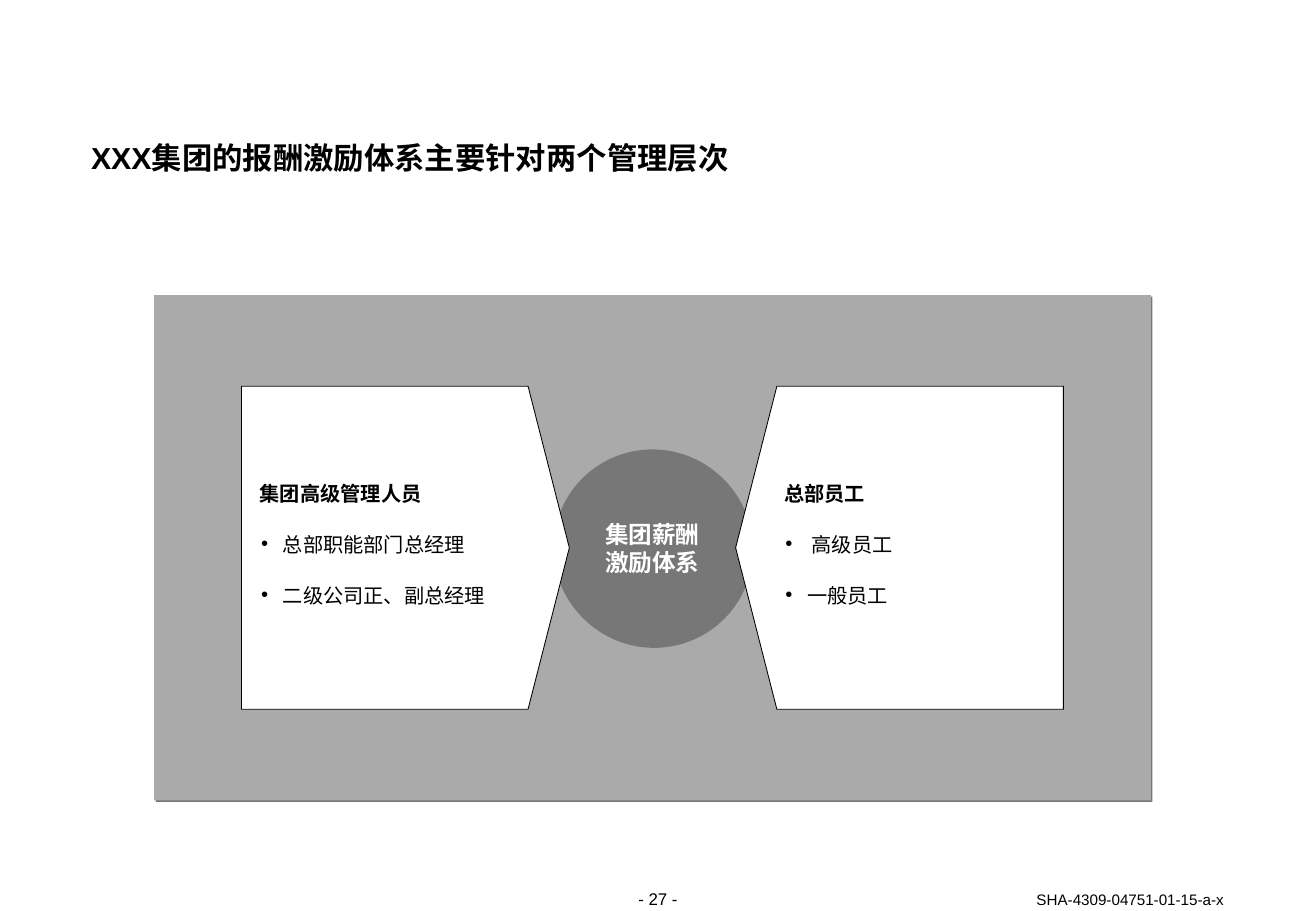
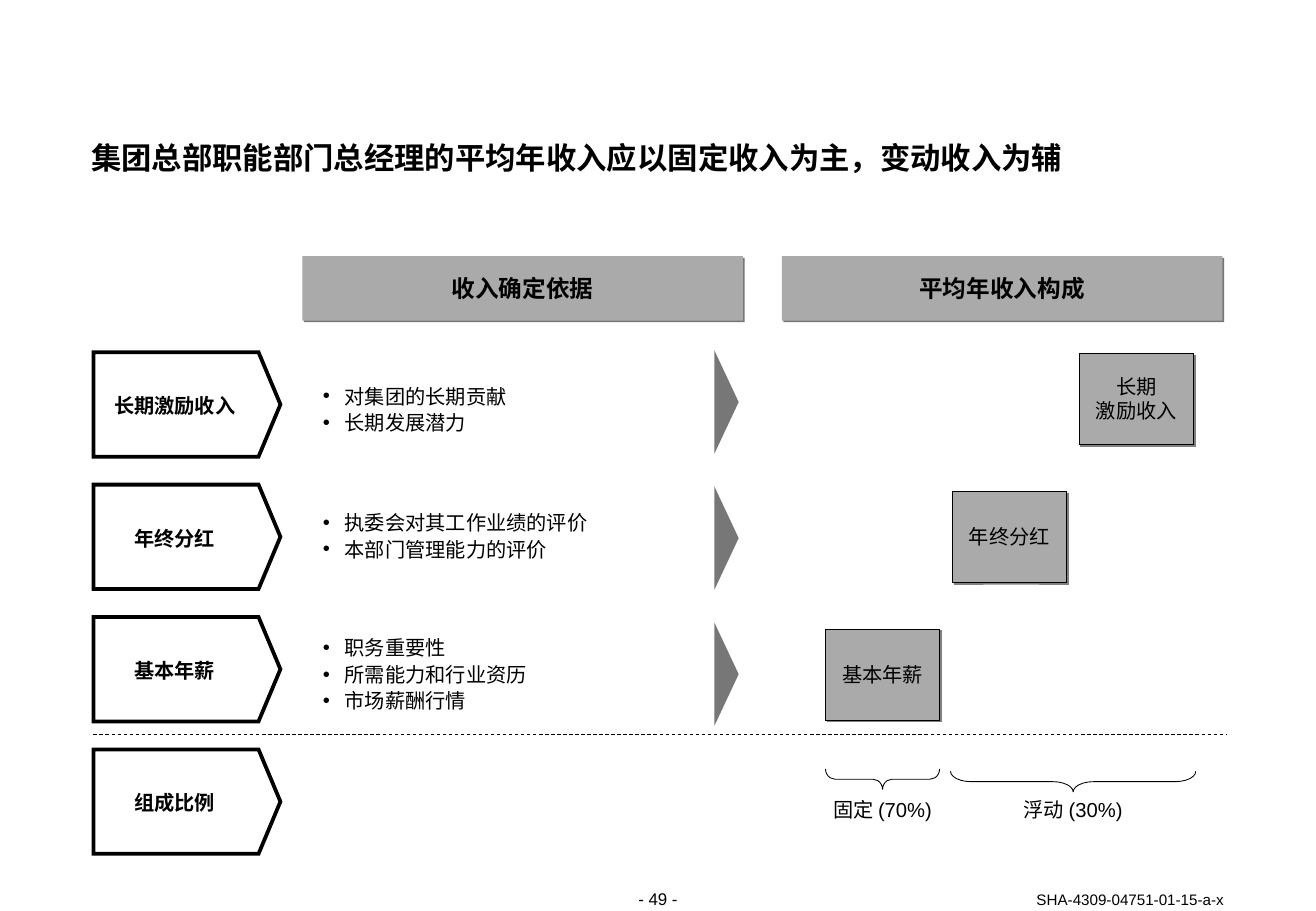
from dataclasses import dataclass

from lxml import etree
from pptx import Presentation
from pptx import util as u
from pptx.dml.color import RGBColor
from pptx.enum import dml, lang, shapes, text
from pptx.oxml import ns


@dataclass(frozen=True)
class Theme:
    font: str = "Arial"
    ink: str = "000000"
    paper: str = "FFFFFF"
    panel: str = "AAAAAA"
    accent: str = "777777"
    box_shadow: str = "808080"
    title: int = 18
    heading: int = 14
    body: int = 12
    page: int = 10
    code: int = 9
    thin: float = 0.5
    thick: float = 2.25


@dataclass(frozen=True)
class Box:
    left: float
    top: float
    width: float
    height: float

    def inches(self):
        return [u.Inches(v) for v in (self.left, self.top, self.width, self.height)]

    def inner(self, left, top, width, height):
        return Box(self.left + left, self.top + top, width, height)


THEME = Theme()
LEFT, CENTER, RIGHT = text.PP_ALIGN.LEFT, text.PP_ALIGN.CENTER, text.PP_ALIGN.RIGHT
TOP, MIDDLE, BOTTOM = text.MSO_ANCHOR.TOP, text.MSO_ANCHOR.MIDDLE, text.MSO_ANCHOR.BOTTOM


def add_element(parent, tag, **attributes):
    return etree.SubElement(parent, ns.qn(tag), **attributes)


def paint(shape, fill=None, line=None, shadow=None):
    shape.shadow.inherit = False
    if fill:
        shape.fill.solid()
        shape.fill.fore_color.rgb = RGBColor.from_string(fill)
    else:
        shape.fill.background()
    if line:
        shape.line.color.rgb = RGBColor.from_string(THEME.ink)
        shape.line.width = u.Pt(line)
        add_element(shape._element.spPr.find(ns.qn("a:ln")), "a:miter", lim="800000")
    else:
        shape.line.fill.background()
    if shadow:
        effects = shape._element.spPr.find(ns.qn("a:effectLst"))
        outer = add_element(effects, "a:outerShdw", dist=str(u.Pt(1.4)), dir="2700000", algn="ctr", rotWithShape="0")
        add_element(outer, "a:srgbClr", val=shadow)
    return shape


def add_bullet(paragraph):
    properties = paragraph._p.get_or_add_pPr()
    properties.set("marL", str(u.Inches(0.19)))
    properties.set("indent", str(u.Inches(-0.18)))
    color = add_element(properties, "a:buClr")
    add_element(color, "a:srgbClr", val=THEME.ink)
    add_element(properties, "a:buFont", typeface=THEME.font)
    add_element(properties, "a:buChar", char="•")


def write(shape, lines, size, color=THEME.ink, bold=False, align=CENTER, anchor=MIDDLE,
          margins=(0, 0, 0, 0), spacing=None, bullets=False, heading=None):
    frame = shape.text_frame
    frame.word_wrap = True
    frame.vertical_anchor = anchor
    frame.margin_left, frame.margin_top, frame.margin_right, frame.margin_bottom = map(u.Inches, margins)
    entries = [(heading, True, False)] if heading else []
    entries += [(line, bold, bullets) for line in lines]
    for index, (line, strong, bulleted) in enumerate(entries):
        paragraph = frame.add_paragraph() if index else frame.paragraphs[0]
        paragraph.alignment = align
        if spacing:
            paragraph.line_spacing = spacing
        if bulleted:
            add_bullet(paragraph)
        for position, piece in enumerate(line.split("\n")):
            if position:
                paragraph.add_line_break()
            run = paragraph.add_run()
            run.text = piece
            run.font.name = THEME.font
            run.font.size = u.Pt(size)
            run.font.bold = strong
            run.font.color.rgb = RGBColor.from_string(color)
            run.font.language_id = lang.MSO_LANGUAGE_ID.SIMPLIFIED_CHINESE


def add_text(slide, box, lines, size, **style):
    write(slide.shapes.add_textbox(*box.inches()), lines, size, **style)


def add_preset(slide, kind, box, **look):
    return paint(slide.shapes.add_shape(kind, *box.inches()), **look)


def add_pointer(slide, box, tip, points_left=False, **look):
    outline = [(0, 0), (box.width - tip, 0), (box.width, box.height / 2),
               (box.width - tip, box.height), (0, box.height)]
    if points_left:
        outline = [(box.width - x, y) for x, y in outline]
    corners = [(u.Inches(box.left + x), u.Inches(box.top + y)) for x, y in outline]
    builder = slide.shapes.build_freeform(*corners[0])
    builder.add_line_segments(corners[1:], close=True)
    return paint(builder.convert_to_shape(), **look)


def add_brace(slide, box):
    upright = Box(box.left + (box.width - box.height) / 2, box.top - (box.width - box.height) / 2,
                  box.height, box.width)
    brace = add_preset(slide, shapes.MSO_SHAPE.LEFT_BRACE, upright, line=THEME.thin)
    brace.adjustments[0] = box.width / box.height / 12
    brace.rotation = 270


def new_slide(presentation, title, page):
    slide = presentation.slides.add_slide(presentation.slide_layouts[6])
    add_text(slide, Box(0.75, 1.17, 9.33, 0.28), [title], THEME.title, bold=True,
             align=LEFT, anchor=TOP, spacing=u.Pt(20))
    add_text(slide, Box(4.85, 7.32, 1.14, 0.17), [f"- {page} -"], THEME.page, anchor=TOP)
    add_text(slide, Box(7.64, 7.33, 2.44, 0.15), ["SHA-4309-04751-01-15-a-x"], THEME.code,
             align=RIGHT, anchor=BOTTOM, spacing=u.Pt(11))
    return slide


def draw_levels(slide, box):
    add_preset(slide, shapes.MSO_SHAPE.RECTANGLE, box, fill=THEME.panel, shadow=THEME.accent)
    hub = add_preset(slide, shapes.MSO_SHAPE.OVAL, box.inner(3.29, 1.27, 1.63, 1.62),
                     fill=THEME.accent, shadow=THEME.accent)
    write(hub, ["集团薪酬\n激励体系"], THEME.heading, color=THEME.paper, bold=True)
    width, side = 2.7, 0.72
    panels = [
        (side, False, 0.15, "集团高级管理人员", ["总部职能部门总经理", "二级公司正、副总经理"]),
        (box.width - side - width, True, 0.4, "总部员工", [" 高级员工", "一般员工"]),
    ]
    for left, points_left, inset, heading, members in panels:
        panel = add_pointer(slide, box.inner(left, 0.75, width, 2.66), 0.34, points_left,
                            fill=THEME.paper, line=THEME.thin)
        write(panel, members, THEME.body, align=LEFT, anchor=TOP, margins=(inset, 0.56, 0, 0),
              spacing=2.1, bullets=True, heading=heading)


def draw_headers(slide, box):
    width = 3.63
    for left, label in ((0, "收入确定依据"), (box.width - width, "平均年收入构成")):
        header = add_preset(slide, shapes.MSO_SHAPE.RECTANGLE, box.inner(left, 0, width, box.height),
                            fill=THEME.panel, shadow=THEME.accent)
        write(header, [label], THEME.heading, bold=True)


def draw_row_labels(slide, box, labels):
    for row, label in enumerate(labels):
        pointer = add_pointer(slide, box.inner(0, row * 1.09, box.width, 0.86), 0.18, line=THEME.thick)
        write(pointer, [label], THEME.body, bold=True, margins=(0.09, 0.02, 0.29, 0))


def draw_criteria(slide, box, criteria):
    for row, (middle, lines) in enumerate(criteria):
        height = 0.22 * len(lines)
        add_text(slide, box.inner(0, middle - height / 2, 2.38, height), lines, THEME.body,
                 align=LEFT, spacing=1.1, bullets=True)
        arrow = add_preset(slide, shapes.MSO_SHAPE.FLOWCHART_MERGE,
                           box.inner(box.width - 0.53, 0.31 + row * 1.12, 0.85, 0.2), fill=THEME.accent)
        arrow.rotation = 270


def draw_income_steps(slide, box, labels):
    width, height = 0.94, 0.75
    gaps = len(labels) - 1
    across, down = (box.width - width) / gaps, (box.height - height) / gaps
    for step, label in enumerate(labels):
        block = add_preset(slide, shapes.MSO_SHAPE.RECTANGLE,
                           box.inner((gaps - step) * across, step * down, width, height),
                           fill=THEME.panel, line=THEME.thin, shadow=THEME.box_shadow)
        write(block, [label], THEME.body, spacing=u.Pt(14))


def draw_shares(slide, box):
    for left, top, width, label in ((0, 0, 0.94, "固定 (70%)"), (1.03, 0.02, 2.02, "浮动 (30%)")):
        add_brace(slide, box.inner(left, top, width, 0.17))
        add_text(slide, box.inner(left + width / 2 - 0.6, 0.24, 1.2, 0.19), [label], THEME.body,
                 spacing=u.Pt(14))


def draw_divider(slide, left, right, top):
    line = slide.shapes.add_connector(shapes.MSO_CONNECTOR.STRAIGHT, u.Inches(left), u.Inches(top),
                                      u.Inches(right), u.Inches(top))
    line.line.color.rgb = RGBColor.from_string(THEME.ink)
    line.line.width = u.Pt(THEME.thin)
    line.line.dash_style = dml.MSO_LINE.DASH
    add_element(line._element.spPr, "a:effectLst")


def main():
    presentation = Presentation()
    presentation.slide_width = u.Inches(10.84)
    presentation.slide_height = u.Inches(7.5)

    levels = new_slide(presentation, "XXX集团的报酬激励体系主要针对两个管理层次", 27)
    draw_levels(levels, Box(1.27, 2.43, 8.21, 4.16))

    income = new_slide(presentation, "集团总部职能部门总经理的平均年收入应以固定收入为主，变动收入为辅", 49)
    draw_headers(income, Box(2.49, 2.11, 7.58, 0.53))
    draw_row_labels(income, Box(0.77, 2.9, 1.54, 4.13), ["长期激励收入", "年终分红", "基本年薪", "组成比例"])
    draw_criteria(income, Box(2.65, 2.9, 3.44, 3.08), [
        (0.46, ["对集团的长期贡献", "长期发展潜力"]),
        (1.5, ["执委会对其工作业绩的评价", "本部门管理能力的评价"]),
        (2.64, ["职务重要性", "所需能力和行业资历", "市场薪酬行情"]),
    ])
    draw_income_steps(income, Box(6.8, 2.91, 3.03, 3.02), ["长期\n激励收入", "年终分红", "基本年薪"])
    draw_divider(income, 0.77, 10.1, 6.05)
    draw_shares(income, Box(6.8, 6.33, 3.05, 0.43))
    presentation.save("out.pptx")


if __name__ == "__main__":
    main()
